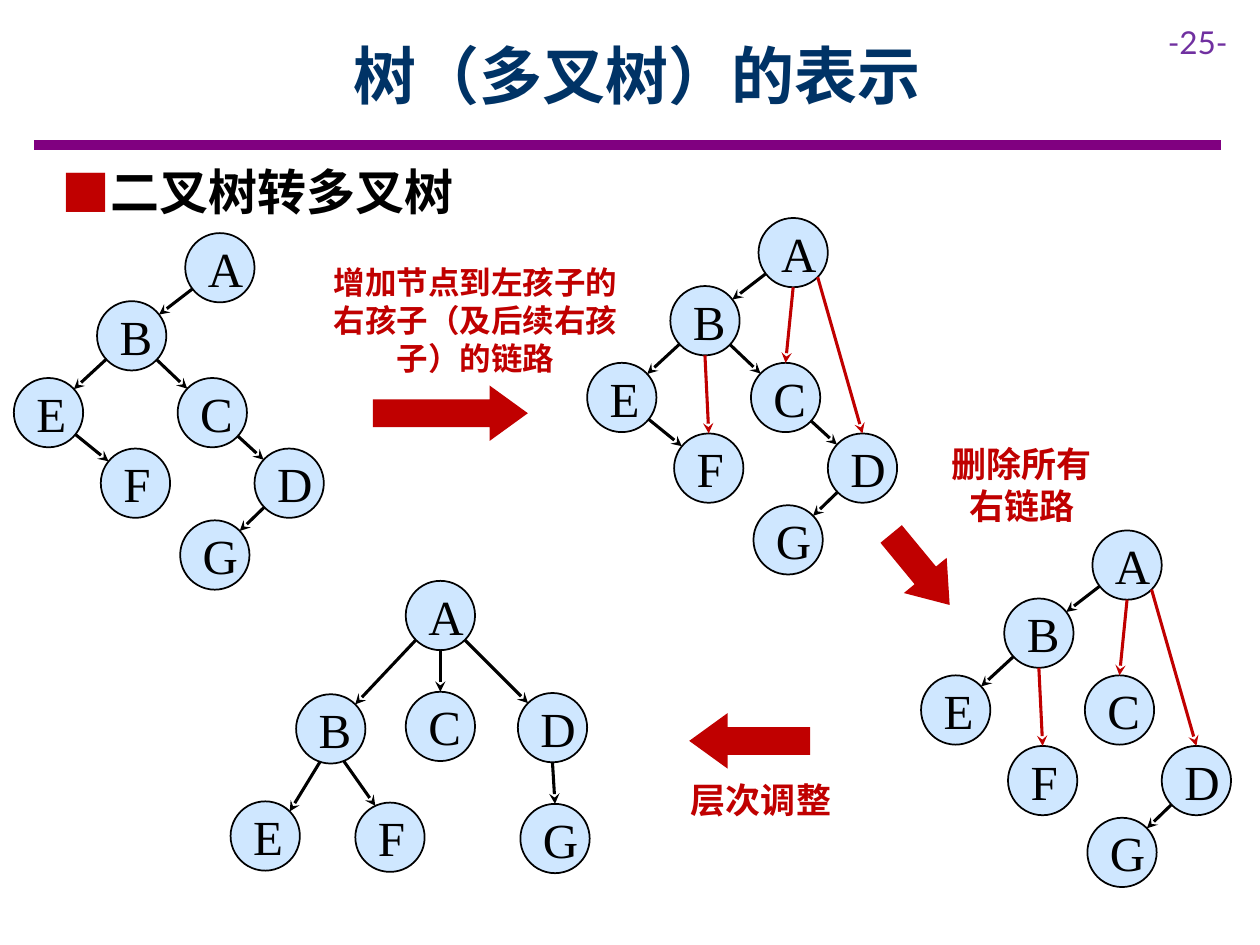
from math import atan2, cos, degrees, radians, sin

from pptx import Presentation
from pptx.dml.color import RGBColor
from pptx.enum.shapes import MSO_CONNECTOR as Connector, MSO_SHAPE as Shape
from pptx.enum.text import MSO_ANCHOR as Anchor, MSO_AUTO_SIZE as AutoSize, PP_ALIGN as Align
from pptx.oxml.ns import qn
from pptx.util import Inches, Pt
from lxml.etree import SubElement


class Theme:
    cjk, latin, serif = "Noto Sans CJK SC", "Lato", "Times New Roman"
    black, red, navy = "000000", "C00000", "003366"
    purple, rule, node = "7030A0", "800080", "99CCFF"
    node_alpha = 47
    title_size, body_size, node_size = 36, 28, 28
    number_size = 18
    rule_width, edge_width, outline_width = 6, 1.75, 1


TITLE = "树（多叉树）的表示"
BULLET = "二叉树转多叉树"
PAGE_NUMBER = "-25-"

NODE = 0.55
UP, UP_RIGHT, DOWN_RIGHT, DOWN, DOWN_LEFT, UP_LEFT = -90, -45, 45, 90, 135, -135

# Node positions relative to the root
BINARY = {"A": (0, 0), "B": (-0.7, 0.54), "C": (-0.06, 1.15), "D": (0.55, 1.71),
          "E": (-1.36, 1.15), "F": (-0.67, 1.71), "G": (-0.04, 2.28)}
MULTIWAY = {"A": (0, 0), "B": (-0.87, 0.9), "C": (0, 0.88), "D": (0.89, 0.89),
            "E": (-1.39, 1.75), "F": (-0.4, 1.76), "G": (0.91, 1.77)}

# Parent, child, and optionally the angles at which the edge leaves and arrives
LEFT_LINKS = [("A", "B"), ("B", "E"), ("D", "G")]
RIGHT_LINKS = [("B", "C"), ("E", "F"), ("C", "D")]
ADDED_LINKS = [("A", "C", DOWN, UP), ("A", "D", DOWN_RIGHT, UP), ("B", "F", DOWN, UP)]
MULTIWAY_LINKS = [("A", "B", DOWN_LEFT, UP_RIGHT), ("A", "C", DOWN, UP),
                  ("A", "D", DOWN_RIGHT, UP_LEFT), ("B", "E", 108, UP_RIGHT),
                  ("B", "F", 68, -115), ("D", "G", DOWN, UP)]

# Root position, layout, black edges, red edges
TREES = [
    ((1.47, 1.85), BINARY, LEFT_LINKS + RIGHT_LINKS, []),
    ((6.02, 1.73), BINARY, LEFT_LINKS + RIGHT_LINKS, ADDED_LINKS),
    ((8.67, 4.21), BINARY, LEFT_LINKS, ADDED_LINKS),
    ((3.22, 4.61), MULTIWAY, MULTIWAY_LINKS, []),
]

# Box, rotation
STEP_ARROWS = [((2.96, 3.06, 1.23, 0.44), 0),
               ((6.94, 4.3, 0.73, 0.44), 50.5),
               ((5.47, 5.66, 0.96, 0.44), 180)]

# Text, box, size
STEP_LABELS = [
    ("增加节点到左孩子的右孩子（及后续右孩子）的链路", (2.47, 2.04, 2.61, 1.01), 18),
    ("删除所有右链路", (7.37, 3.46, 1.48, 0.77), 20),
    ("层次调整", (5.3, 6.13, 1.48, 0.44), 20),
]


def color(value):
    return RGBColor.from_string(value)


def place(shape, box):
    shape.left, shape.top, shape.width, shape.height = map(Inches, box)


def write(shape, text, size, ink, font=Theme.cjk, bold=False, align=Align.CENTER,
          anchor=Anchor.TOP, margins=(0.1, 0.05), bullet=None):
    frame = shape.text_frame
    frame.word_wrap = True
    frame.auto_size = AutoSize.NONE
    frame.vertical_anchor = anchor
    frame.margin_left = frame.margin_right = Inches(margins[0])
    frame.margin_top = frame.margin_bottom = Inches(margins[1])
    paragraph = frame.paragraphs[0]
    if bullet:
        add_bullet(paragraph, bullet)
    paragraph.alignment = align
    paragraph.space_before = Pt(0)
    if font == Theme.cjk:
        paragraph.line_spacing = Pt(size * 1.2)
    run = paragraph.add_run()
    run.text = text
    run.font.name, run.font.size, run.font.bold = font, Pt(size), bold
    run.font.color.rgb = color(ink)
    SubElement(run.font._element, qn("a:ea")).set("typeface", font)


def add_bullet(paragraph, character, indent=Inches(0.38)):
    properties = paragraph._p.get_or_add_pPr()
    properties.set("marL", str(indent))
    properties.set("indent", str(-indent))
    bullet_color = SubElement(properties, qn("a:buClr"))
    SubElement(bullet_color, qn("a:srgbClr")).set("val", Theme.red)
    SubElement(properties, qn("a:buFont")).set("typeface", Theme.cjk)
    SubElement(properties, qn("a:buChar")).set("char", character)


def add_label(slide, text, box, size, ink, **text_format):
    write(slide.shapes.add_textbox(*map(Inches, box)), text, size, ink, **text_format)


def add_line(slide, start, end, ink, width, arrow=False):
    line = slide.shapes.add_connector(Connector.STRAIGHT, *map(Inches, (*start, *end)))
    line.line.color.rgb = color(ink)
    line.line.width = Pt(width)
    if arrow:
        SubElement(line.line._get_or_add_ln(), qn("a:tailEnd")).set("type", "stealth")
    SubElement(line._element.spPr, qn("a:effectLst"))


def add_node(slide, name, center):
    box = (center[0] - NODE / 2, center[1] - NODE / 2, NODE, NODE)
    node = slide.shapes.add_shape(Shape.OVAL, *map(Inches, box))
    node.shadow.inherit = False
    node.fill.solid()
    node.fill.fore_color.rgb = color(Theme.node)
    fill_color = node._element.spPr.find(qn("a:solidFill")).find(qn("a:srgbClr"))
    SubElement(fill_color, qn("a:alpha")).set("val", str(Theme.node_alpha * 1000))
    node.line.color.rgb = color(Theme.black)
    node.line.width = Pt(Theme.outline_width)
    write(node, name, Theme.node_size, Theme.black, font=Theme.serif,
          anchor=Anchor.MIDDLE, margins=(0.1, 0.1))


def rim_point(center, angle):
    return (center[0] + NODE / 2 * cos(radians(angle)),
            center[1] + NODE / 2 * sin(radians(angle)))


def add_edge(slide, start, end, ink, leave=None, arrive=None):
    """Link two node centres rim to rim, along their centre line by default."""
    if leave is None:
        leave = degrees(atan2(end[1] - start[1], end[0] - start[0]))
        arrive = leave + 180
    add_line(slide, rim_point(start, leave), rim_point(end, arrive), ink,
             Theme.edge_width, arrow=True)


def add_tree(slide, root, layout, black_links, red_links):
    centers = {name: (root[0] + x + NODE / 2, root[1] + y + NODE / 2)
               for name, (x, y) in layout.items()}
    for name, center in centers.items():
        add_node(slide, name, center)
    for links, ink in ((black_links, Theme.black), (red_links, Theme.red)):
        for parent, child, *angles in links:
            add_edge(slide, centers[parent], centers[child], ink, *angles)


def add_step_arrow(slide, box, rotation):
    arrow = slide.shapes.add_shape(Shape.RIGHT_ARROW, *map(Inches, box))
    arrow.adjustments[0], arrow.adjustments[1] = 0.5, 0.69
    arrow.rotation = rotation
    arrow.shadow.inherit = False
    arrow.fill.solid()
    arrow.fill.fore_color.rgb = color(Theme.red)
    arrow.line.fill.background()


def main():
    presentation = Presentation()
    presentation.slide_width, presentation.slide_height = Inches(10), Inches(7.5)
    slide = presentation.slides.add_slide(presentation.slide_layouts[1])

    title, body = slide.placeholders
    place(title, (0.9, 0.09, 8.31, 1))
    write(title, TITLE, Theme.title_size, Theme.navy, bold=True, anchor=Anchor.MIDDLE)
    place(body, (0.39, 1.23, 4.06, 0.57))
    write(body, BULLET, Theme.body_size, Theme.black, bold=True, align=Align.LEFT,
          bullet="■")
    add_line(slide, (0.27, 1.15), (9.69, 1.15), Theme.rule, Theme.rule_width)
    add_label(slide, PAGE_NUMBER, (9.17, 0.13, 0.83, 0.4), Theme.number_size,
              Theme.purple, font=Theme.latin, align=Align.LEFT)

    for tree in TREES:
        add_tree(slide, *tree)
    for box, rotation in STEP_ARROWS:
        add_step_arrow(slide, box, rotation)
    for text, box, size in STEP_LABELS:
        add_label(slide, text, box, size, Theme.red, bold=True)

    presentation.save("out.pptx")


if __name__ == "__main__":
    main()
